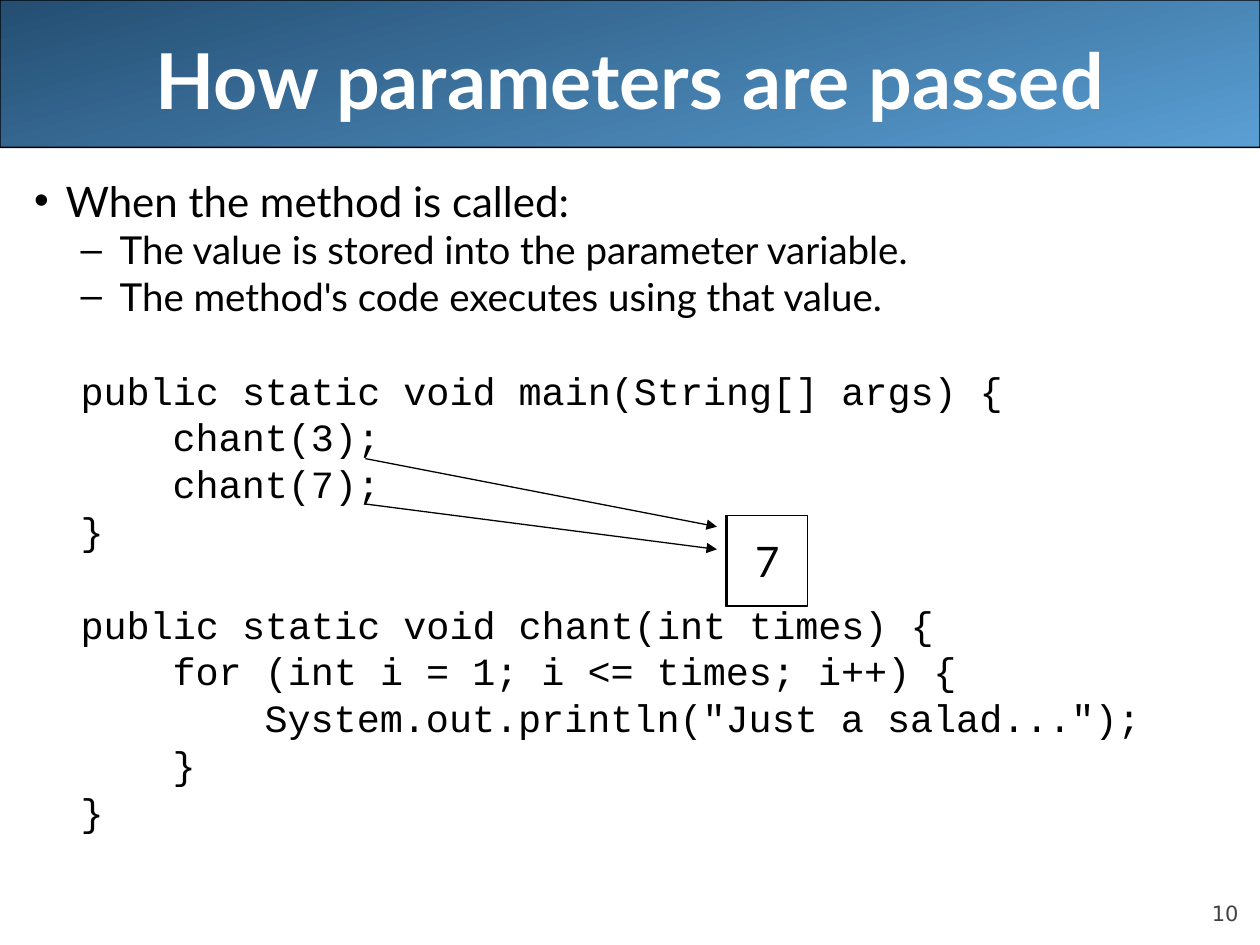
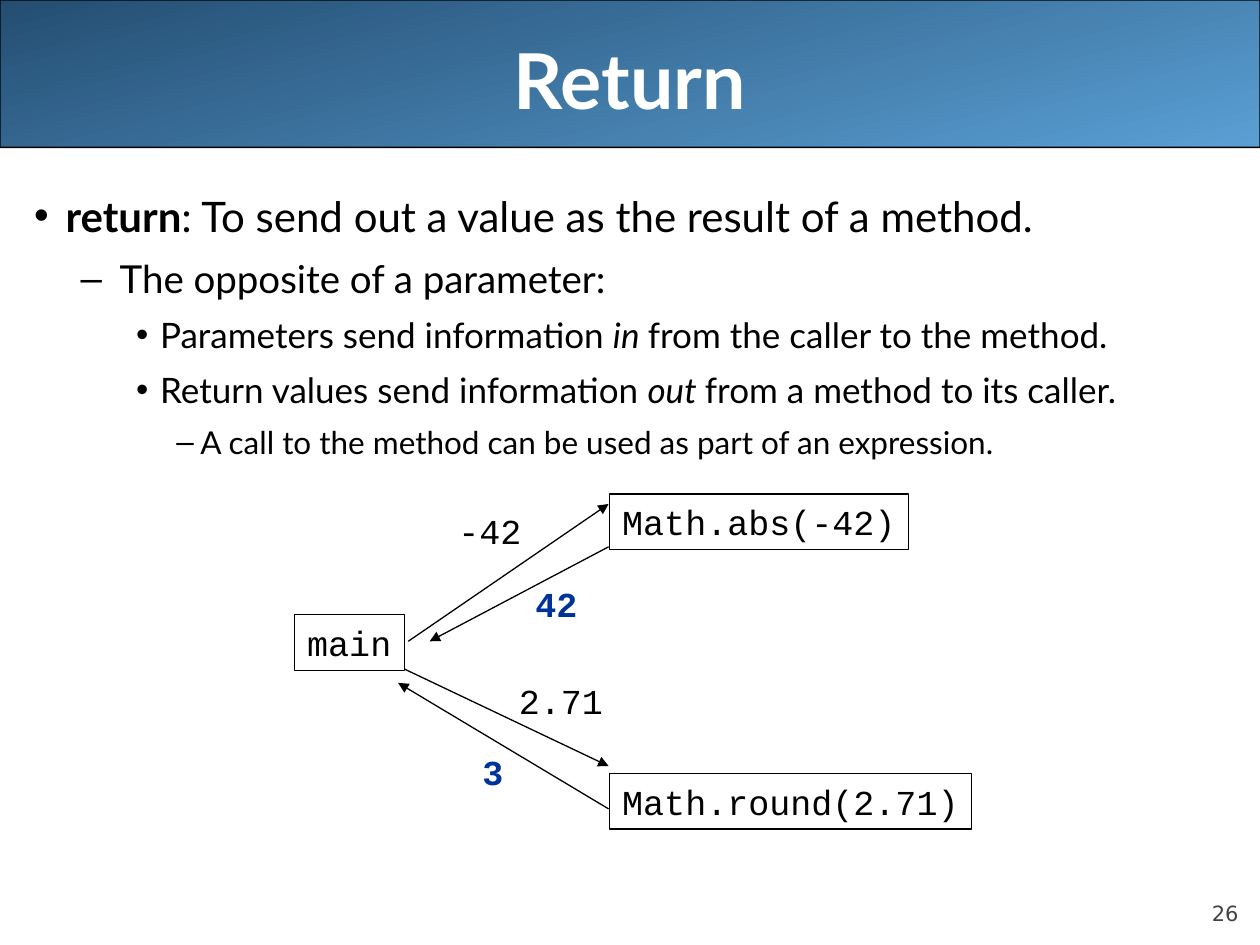
import pptx
import pptx.dml.color
import pptx.enum.shapes
import pptx.enum.text
import pptx.util
from lxml import etree
from pptx.oxml.ns import qn

Inches = pptx.util.Inches
Pt = pptx.util.Pt
ANCHOR = pptx.enum.text.MSO_ANCHOR
ALIGN = pptx.enum.text.PP_ALIGN
SHAPE = pptx.enum.shapes.MSO_SHAPE

BLACK, WHITE, GREY, RETURNED = "000000", "FFFFFF", "424242", "003399"
BAND_COLORS = ("244E72", "5A9FD4")
SANS, MONO, NUMBER_FONT = "Lato", "Courier New", "DejaVu Sans"
CODE_SIZE, CODE_LINE, CODE_LEFT, CODE_STEP = 22, 21.2, 0.37, 0.73
CODE_GAP, METHOD_GAP = 5.5, 32.5

LEVELS = [
    dict(size=24, left=0.25, hang=0.25, before=6, bullet="•"),
    dict(size=22, left=0.68, hang=0.31, before=5.5, bullet="–"),
    dict(size=20, left=1, hang=0.19, before=5, bullet="•"),
    dict(size=18, left=1.32, hang=0.19, before=4.5, bullet="–"),
]

PASSING = dict(
    title="How parameters are passed",
    number="10",
    spacing=0.8,
    bullets=[
        (0, [("When the method is called:", {})]),
        (1, [("The value is stored into the parameter variable.", {})]),
        (1, [("The method's code executes using that value.", {})]),
    ],
    methods=[
        [
            (0, "public static void main(String[] args) {"),
            (1, "chant(3);"),
            (1, "chant(7);"),
            (0, "}"),
        ],
        [
            (0, "public static void chant(int times) {"),
            (1, "for (int i = 1; i <= times; i++) {"),
            (2, 'System.out.println("Just a salad...");'),
            (1, "}"),
            (0, "}"),
        ],
    ],
    arrows=[(2.9, 3.64, 5.69, 4.18), (2.9, 4, 5.69, 4.36)],
)
VALUE_BOXES = [(5.76, ""), (5.77, "7")]

RETURN = dict(
    title="Return",
    number="26",
    spacing=1.1,
    bullets=[
        (0, [("return", dict(bold=True)),
             (": To send out a value as the result of a method.", {})]),
        (1, [("The opposite of a parameter:", {})]),
        (2, [("Parameters send information ", {}), ("in ", dict(italic=True)),
             ("from the caller to the method.", {})]),
        (2, [("Return values send information ", {}), ("out ", dict(italic=True)),
             ("from a method to its caller.", {})]),
        (3, [("A call to the method can be used as part of an expression.", {})]),
    ],
    methods=[],
    arrows=[
        (3.24, 5.09, 4.83, 4),
        (4.83, 4.34, 3.41, 5.09),
        (3.21, 5.31, 4.83, 6.08),
        (4.83, 6.42, 3.16, 5.42),
    ],
)
CALL_BOXES = [
    ("main", 2.34, 4.88, 0.87),
    ("Math.abs(-42)", 4.84, 3.92, 2.37),
    ("Math.round(2.71)", 4.84, 6.14, 2.87),
]
CALL_LABELS = [
    ("-42", 3.54, 3.99, 0.7, BLACK),
    ("2.71", 4.02, 5.34, 0.87, BLACK),
    ("42", 4.15, 4.57, 0.53, RETURNED),
    ("3", 3.73, 5.9, 0.36, RETURNED),
]


def rgb(color):
    return pptx.dml.color.RGBColor.from_string(color)


def add_span(para, text, size=24, font=SANS, color=BLACK, bold=False, italic=False):
    span = para.add_run()
    span.text = text
    span.font.size = Pt(size)
    span.font.name = font
    span.font.bold = bold
    span.font.italic = italic
    span.font.color.rgb = rgb(color)


def set_frame(frame, anchor=ANCHOR.TOP, wrap=True, margins=(0.1, 0.05)):
    frame.auto_size = pptx.enum.text.MSO_AUTO_SIZE.NONE
    frame.word_wrap = wrap
    frame.vertical_anchor = anchor
    frame.margin_left = frame.margin_right = Inches(margins[0])
    frame.margin_top = frame.margin_bottom = Inches(margins[1])


def place(box, left, top, width, height):
    box.left, box.top = Inches(left), Inches(top)
    box.width, box.height = Inches(width), Inches(height)


def set_list_format(para, left, hang, before, spacing, bullet=None):
    para.space_before = Pt(before)
    para.space_after = Pt(0)
    para.line_spacing = spacing
    props = para._p.get_or_add_pPr()
    props.set("marL", str(Inches(left)))
    props.set("indent", str(-Inches(hang)))
    if bullet:
        color = etree.SubElement(props, qn("a:buClr"))
        etree.SubElement(color, qn("a:srgbClr"), val=BLACK)
        etree.SubElement(props, qn("a:buChar"), char=bullet)
    else:
        etree.SubElement(props, qn("a:buNone"))


def add_rectangle(page, left, top, width, height, fill=None, shape=SHAPE.RECTANGLE):
    box = page.shapes.add_shape(
        shape, Inches(left), Inches(top), Inches(width), Inches(height))
    box.shadow.inherit = False
    box.line.color.rgb = rgb(BLACK)
    box.line.width = Pt(0.75)
    if fill:
        box.fill.solid()
        box.fill.fore_color.rgb = rgb(fill)
    else:
        box.fill.background()
    return box


def add_arrow(page, *ends):
    arrow = page.shapes.add_connector(
        pptx.enum.shapes.MSO_CONNECTOR.STRAIGHT, *[Inches(end) for end in ends])
    arrow.line.color.rgb = rgb(BLACK)
    arrow.line.width = Pt(0.75)
    etree.SubElement(arrow.line._get_or_add_ln(), qn("a:tailEnd"), type="triangle")
    etree.SubElement(arrow._element.spPr, qn("a:effectLst"))


def add_band(page):
    band = add_rectangle(page, 0, 0, 10, 1.17, shape=SHAPE.ROUNDED_RECTANGLE)
    band.adjustments[0] = 0.001
    band.fill.gradient()
    band.fill.gradient_angle = 285
    for stop, color in zip(band.fill.gradient_stops, BAND_COLORS):
        stop.color.rgb = rgb(color)
    band._element.getparent().insert(2, band._element)


def add_number(page, number):
    box = page.shapes.add_textbox(Inches(9), Inches(6.95), Inches(0.83), Inches(0.4))
    set_frame(box.text_frame, anchor=ANCHOR.BOTTOM, margins=(0, 0))
    para = box.text_frame.paragraphs[0]
    para.alignment = ALIGN.RIGHT
    add_span(para, number, size=12, font=NUMBER_FONT, color=GREY)


def fill_body(frame, bullets, methods, spacing):
    set_frame(frame)
    for index, (level, spans) in enumerate(bullets):
        para = frame.add_paragraph() if index else frame.paragraphs[0]
        para.level = level
        style = dict(LEVELS[level])
        size = style.pop("size")
        set_list_format(para, spacing=spacing, **style)
        for text, look in spans:
            add_span(para, text, size=size, **look)
    for method in methods:
        for index, (depth, code) in enumerate(method):
            para = frame.add_paragraph()
            para.level = 1
            set_list_format(para, CODE_LEFT + depth * CODE_STEP, 0,
                            CODE_GAP if index else METHOD_GAP, Pt(CODE_LINE))
            add_span(para, code, size=CODE_SIZE, font=MONO)


def add_page(deck, content):
    page = deck.slides.add_slide(deck.slide_layouts[1])
    title, body = page.placeholders
    add_band(page)
    add_number(page, content["number"])
    place(title, 0.5, 0, 9, 1.25)
    set_frame(title.text_frame, anchor=ANCHOR.MIDDLE)
    para = title.text_frame.paragraphs[0]
    para.alignment = ALIGN.CENTER
    add_span(para, content["title"], size=44, color=WHITE, bold=True)
    place(body, 0.17, 1.42, 9.83, 5.67)
    fill_body(body.text_frame, content["bullets"], content["methods"], content["spacing"])
    for ends in content["arrows"]:
        add_arrow(page, *ends)
    return page


def write_call(box, text, color=BLACK):
    set_frame(box.text_frame, wrap=False)
    para = box.text_frame.paragraphs[0]
    para.alignment = ALIGN.LEFT
    para.line_spacing = Pt(24.4)
    add_span(para, text, size=20, font=MONO, color=color, bold=color == RETURNED)


def main():
    deck = pptx.Presentation()
    deck.slide_width, deck.slide_height = Inches(10), Inches(7.5)

    page = add_page(deck, PASSING)
    for left, value in VALUE_BOXES:
        box = add_rectangle(page, left, 4.09, 0.64, 0.72, fill=WHITE)
        if value:
            set_frame(box.text_frame, anchor=ANCHOR.MIDDLE, wrap=False)
            box.text_frame.paragraphs[0].alignment = ALIGN.CENTER
            add_span(box.text_frame.paragraphs[0], value)

    page = add_page(deck, RETURN)
    for text, left, top, width in CALL_BOXES:
        write_call(add_rectangle(page, left, top, width, 0.44), text)
    for text, left, top, width, color in CALL_LABELS:
        box = page.shapes.add_textbox(
            Inches(left), Inches(top), Inches(width), Inches(0.44))
        write_call(box, text, color)

    deck.save("out.pptx")


if __name__ == "__main__":
    main()
